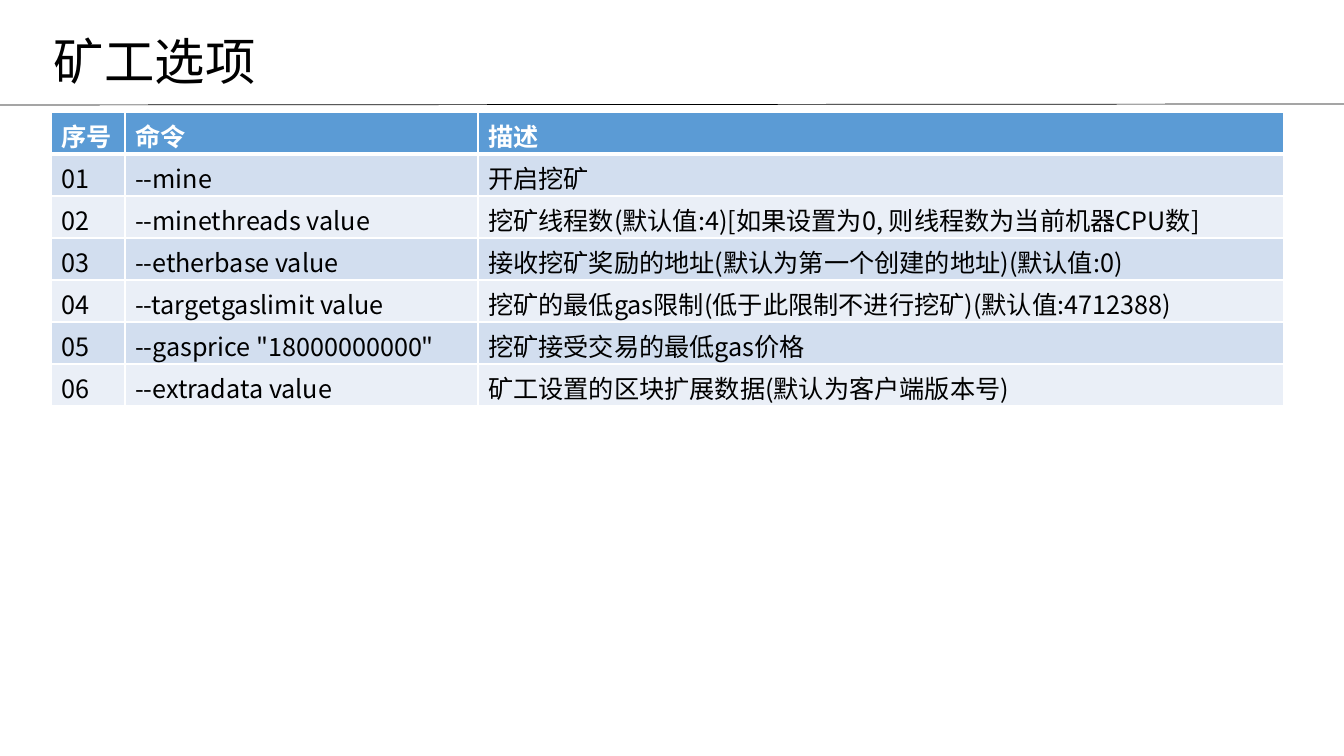
from lxml import etree
from pptx import Presentation
from pptx.dml.color import RGBColor
from pptx.enum.shapes import MSO_CONNECTOR
from pptx.enum.text import MSO_AUTO_SIZE
from pptx.oxml.ns import qn
from pptx.util import Pt

# Content
TITLE = "矿工选项"
ROWS = [
    ("序号", "命令", "描述"),
    ("01", "--mine", "开启挖矿"),
    ("02", "--minethreads value",
     "挖矿线程数(默认值:4)[如果设置为0, 则线程数为当前机器CPU数]"),
    ("03", "--etherbase value",
     "接收挖矿奖励的地址(默认为第一个创建的地址)(默认值:0)"),
    ("04", "--targetgaslimit value",
     "挖矿的最低gas限制(低于此限制不进行挖矿)(默认值:4712388)"),
    ("05", '--gasprice "18000000000"', "挖矿接受交易的最低gas价格"),
    ("06", "--extradata value", "矿工设置的区块扩展数据(默认为客户端版本号)"),
]

# Look, with lengths in px
FONT = "Noto Sans CJK SC"
BLACK, WHITE = "000000", "FFFFFF"
HEAD, BANDS = "5B9BD5", ("EAEFF7", "D2DEEF")
COLS, ROW = (74, 353, 806), 42
WIDE, HIGH = 1344, 756
STRAIGHT = MSO_CONNECTOR.STRAIGHT
GROW = MSO_AUTO_SIZE.SHAPE_TO_FIT_TEXT


def px(n):
    return round(n * 914400 / 100.8)


def color(code):
    return RGBColor.from_string(code)


def add_run(frame, text, size, code, bold=False):
    run = frame.paragraphs[0].add_run()
    run.text = text
    font = run.font
    font.name, font.size, font.bold = FONT, Pt(size), bold
    font.color.rgb = color(code)
    east = etree.SubElement(run._r.get_or_add_rPr(), qn("a:ea"))
    east.set("typeface", FONT)


def add_edge(cell, side, width):
    props = cell._tc.get_or_add_tcPr()
    edge = etree.SubElement(props, qn("a:ln" + side), w=str(Pt(width)))
    fill = etree.SubElement(edge, qn("a:solidFill"))
    etree.SubElement(fill, qn("a:srgbClr"), val=WHITE)


deck = Presentation()
deck.slide_width, deck.slide_height = px(WIDE), px(HIGH)
slide = deck.slides.add_slide(deck.slide_layouts[6])
shapes = slide.shapes

# Rule under the title
rule = shapes.add_connector(STRAIGHT, 0, px(105), px(WIDE), px(104))
rule.line.color.rgb = color(BLACK)
rule.line.width = Pt(0.5)
etree.SubElement(rule._element.spPr, qn("a:effectLst"))

# Title
title = shapes.add_textbox(px(44), px(25), px(615), px(71)).text_frame
title.word_wrap = True
title.auto_size = GROW
add_run(title, TITLE, 36, BLACK)

# Table of options
table = shapes.add_table(len(ROWS), len(COLS), px(51), px(112),
                         px(sum(COLS)), px(ROW * len(ROWS))).table
for col, width in zip(table.columns, COLS):
    col.width = px(width)
for r, row in enumerate(ROWS):
    table.rows[r].height = px(ROW)
    top = r == 0
    for c, text in enumerate(row):
        cell = table.cell(r, c)
        for side in "LRTB":
            thick = (top and side == "B") or (r == 1 and side == "T")
            add_edge(cell, side, 3 if thick else 1)
        cell.fill.solid()
        cell.fill.fore_color.rgb = color(HEAD if top else BANDS[r % 2])
        add_run(cell.text_frame, text, 18, WHITE if top else BLACK, top)

deck.save("out.pptx")
